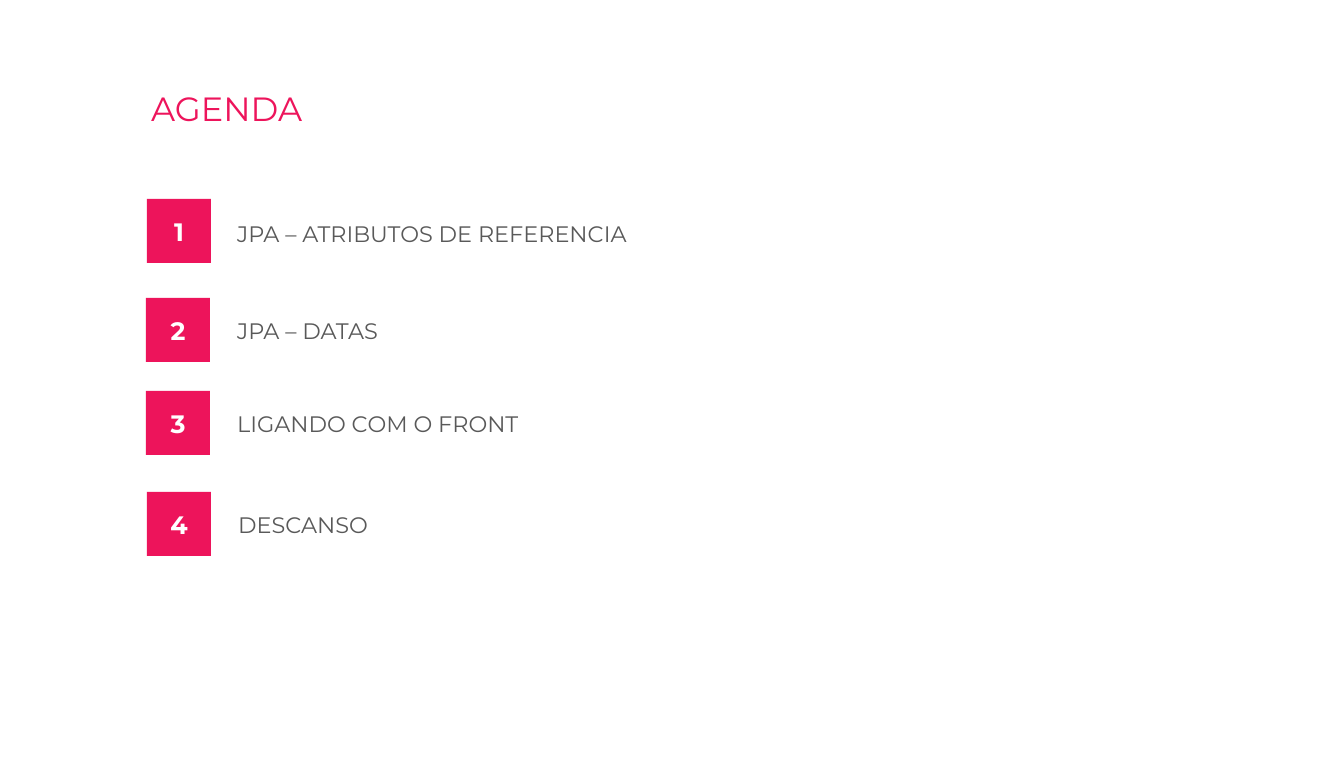
from pptx import Presentation
from pptx.dml.color import RGBColor
from pptx.enum.shapes import MSO_SHAPE
from pptx.enum.text import MSO_ANCHOR, PP_ALIGN
from pptx.util import Pt

PINK = RGBColor(0xED, 0x14, 0x5B)
GRAY = RGBColor(0x59, 0x59, 0x59)
WHITE = RGBColor(0xFF, 0xFF, 0xFF)
FONT = "Montserrat"
SCALE = 914400 / 134.4
SQUARE = 64


def px(*lengths):
    """Turn pixel lengths into EMU."""
    return [round(n * SCALE) for n in lengths]


def write(sp, text, size, color, anchor=MSO_ANCHOR.MIDDLE, bold=False):
    """Put one run of text in a shape and return its paragraph."""
    tf = sp.text_frame
    tf.word_wrap = True
    tf.vertical_anchor = anchor
    p = tf.paragraphs[0]
    r = p.add_run()
    r.text = text
    r.font.name = FONT
    r.font.size = Pt(size)
    r.font.bold = bold
    r.font.color.rgb = color
    return p


prs = Presentation()
prs.slide_width, prs.slide_height = px(1344, 757)
s = prs.slides.add_slide(prs.slide_layouts[6])

title = s.shapes.add_textbox(*px(138, 81, 562, 54))
write(title, "AGENDA", 18, PINK, MSO_ANCHOR.TOP)

# Each topic: text, square left and top, text box left, top, width and height
topics = [
    ("JPA – ATRIBUTOS DE REFERENCIA", (147, 199), (224, 197, 683, 59)),
    ("JPA – DATAS ", (146, 298), (224, 310, 860, 41)),
    ("LIGANDO COM O FRONT", (146, 391), (224, 403, 813, 41)),
    ("DESCANSO", (147, 492), (225, 504, 813, 41)),
]
for number, (topic, corner, box) in enumerate(topics, 1):
    label = s.shapes.add_textbox(*px(*box))
    p = write(label, topic, 12, GRAY)
    if number == 1:
        p.line_spacing = 1.5
        p.space_before = Pt(7.5)

    square = s.shapes.add_shape(MSO_SHAPE.RECTANGLE, *px(*corner, SQUARE, SQUARE))
    square.shadow.inherit = False
    square.fill.solid()
    square.fill.fore_color.rgb = PINK
    square.line.fill.background()
    p = write(square, str(number), 13.5, WHITE, bold=True)
    p.alignment = PP_ALIGN.CENTER

prs.save("out.pptx")
